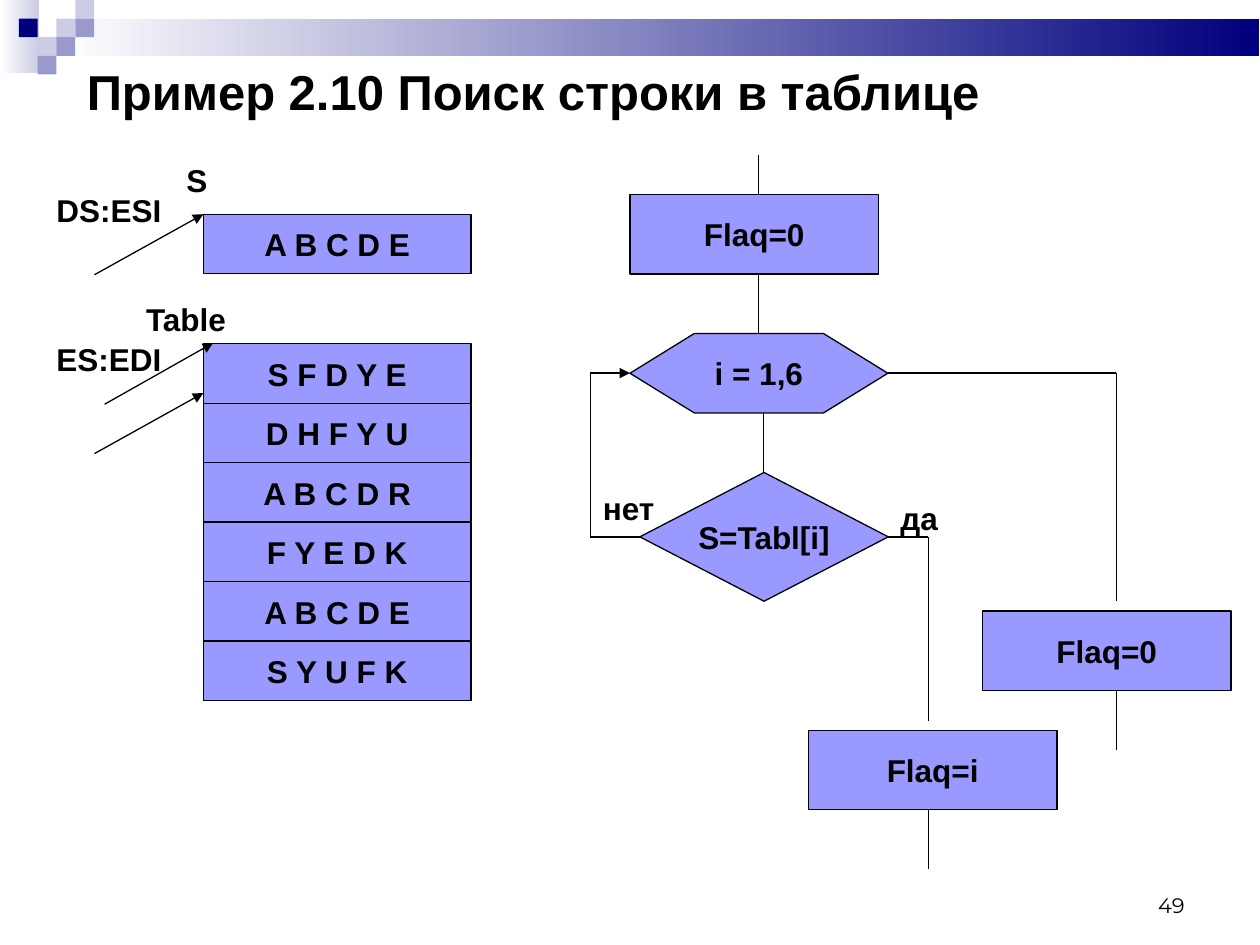
"""Build the slide on searching for a string in a table."""
from lxml import etree
from pptx import Presentation
from pptx.dml.color import RGBColor
from pptx.enum.shapes import MSO_CONNECTOR, MSO_SHAPE
from pptx.enum.text import MSO_ANCHOR, PP_ALIGN
from pptx.oxml.ns import qn
from pptx.util import Pt

RECT, HEXAGON, DIAMOND = MSO_SHAPE.RECTANGLE, MSO_SHAPE.HEXAGON, MSO_SHAPE.DIAMOND
STRAIGHT = MSO_CONNECTOR.STRAIGHT
TOP, MIDDLE, BOTTOM = MSO_ANCHOR.TOP, MSO_ANCHOR.MIDDLE, MSO_ANCHOR.BOTTOM
LEFT, CENTER, RIGHT = PP_ALIGN.LEFT, PP_ALIGN.CENTER, PP_ALIGN.RIGHT
rgb = RGBColor.from_string


def add_shape(kind, x, y, w, h, fill=None):
    sp = s.shapes.add_shape(kind, Pt(x), Pt(y), Pt(w), Pt(h))
    sp.shadow.inherit = False
    sp.line.fill.background()
    if fill:
        sp.fill.solid()
        sp.fill.fore_color.rgb = rgb(fill)
    return sp


def write(sp, text, size=18, font="Arial", bold=True, align=LEFT, anchor=TOP, wrap=True):
    tf = sp.text_frame
    tf.word_wrap = wrap
    tf.vertical_anchor = anchor
    p = tf.paragraphs[0]
    p.alignment = align
    r = p.add_run()
    r.text = text
    r.font.size = Pt(size)
    r.font.name = font
    r.font.bold = bold
    r.font.color.rgb = rgb("000000")


prs = Presentation()
prs.slide_width, prs.slide_height = Pt(720), Pt(540)
s = prs.slides.add_slide(prs.slide_layouts[6])

bands = [(0, 0, 22.3, 41.8, "CCCCE6"), (32.4, 10.8, 687, 21, "00007D")]
for x, y, w, h, end_color in bands:
    sp = add_shape(RECT, x, y, w, h)
    sp.fill.gradient()
    sp.fill.gradient_angle = 0
    for stop, color, position in zip(sp.fill.gradient_stops, ("FFFFFF", end_color), (0, 1)):
        stop.color.rgb = rgb(color)
        stop.position = position

squares = [
    (3, 1, "CCCCE6"), (4, 0, "CCCCE6"), (4, 1, "9999CC"), (2, 2, "CCCCE6"),
    (1, 1, "00007D"), (3, 2, "9999CC"), (2, 3, "9999CC"),
]
for col, row, color in squares:
    add_shape(RECT, 10.75 * col, 10.65 * row, 10.75, 10.65, color)

sp = s.shapes.add_textbox(Pt(516), Pt(492), Pt(168), Pt(36))
write(sp, "49", 12, "Montserrat", False, RIGHT, BOTTOM)
sp = s.shapes.add_textbox(Pt(42.5), Pt(31.2), Pt(663), Pt(41))
write(sp, "Пример 2.10 Поиск строки в таблице", 28, anchor=MIDDLE)

table_rows = ["S F D Y E", "D H F Y U", "A B C D R", "F Y E D K", "A B C D E", "S Y U F K"]
blocks = [(RECT, 116.2, 122.4, 153, 34, "A B C D E")]
blocks += [(RECT, 116.2, 196.4 + 34 * i, 153, 34, row) for i, row in enumerate(table_rows)]
blocks += [
    (RECT, 360, 111.2, 142, 45.4, "Flaq=0"),
    (HEXAGON, 360, 190.6, 147.4, 45.4, "i = 1,6"),
    (DIAMOND, 365.6, 270, 142, 73.6, "S=Tabl[i]"),
    (RECT, 561.4, 349.2, 142, 45.4, "Flaq=0"),
    (RECT, 462, 417.4, 142, 45.4, "Flaq=i"),
]
for kind, x, y, w, h, text in blocks:
    sp = add_shape(kind, x, y, w, h, "9999FF")
    sp.line.color.rgb = rgb("000000")
    sp.line.width = Pt(0.75)
    if kind == HEXAGON:
        sp.adjustments[0] = 0.81
    write(sp, text, align=CENTER, anchor=MIDDLE, wrap=False)

labels = [
    (99.4, 88.6, 26, "S"), (76.4, 168, 68, "Table"),
    (25.2, 105.6, 83, "DS:ESI"), (25.2, 190.8, 83, "ES:EDI"),
    (337.4, 275.8, 44, "нет"), (507.4, 281.4, 44, "да"),
]
for x, y, w, text in labels:
    write(s.shapes.add_textbox(Pt(x), Pt(y), Pt(w), Pt(29)), text)

lines = [
    (54, 157, 116.2, 122.4, True),
    (59.8, 231, 121.8, 196, True),
    (54, 259.2, 116.2, 224.6, True),
    (433.6, 88.6, 433.6, 111.2, False),
    (433.6, 156.6, 433.6, 190.6, False),
    (436.4, 236, 436.4, 270, False),
    (365.6, 306.8, 337.4, 306.8, False),
    (337.4, 306.8, 337.4, 213.2, False),
    (337.4, 213.2, 360, 213.2, True),
    (638, 213.2, 507.4, 213.2, False),
    (638, 213.2, 638, 343.6, False),
    (638, 394.6, 638, 428.6, False),
    (530.4, 306.8, 507.6, 306.8, False),
    (530.4, 306.8, 530.4, 411.8, False),
    (530.4, 462.8, 530.4, 496.8, False),
]
for x1, y1, x2, y2, arrow in lines:
    line = s.shapes.add_connector(STRAIGHT, Pt(x1), Pt(y1), Pt(x2), Pt(y2))
    line.line.color.rgb = rgb("000000")
    line.line.width = Pt(0.75)
    if arrow:
        ln = line.line._get_or_add_ln()
        etree.SubElement(ln, qn("a:tailEnd"), type="triangle")
    etree.SubElement(line._element.spPr, qn("a:effectLst"))

prs.save("out.pptx")
